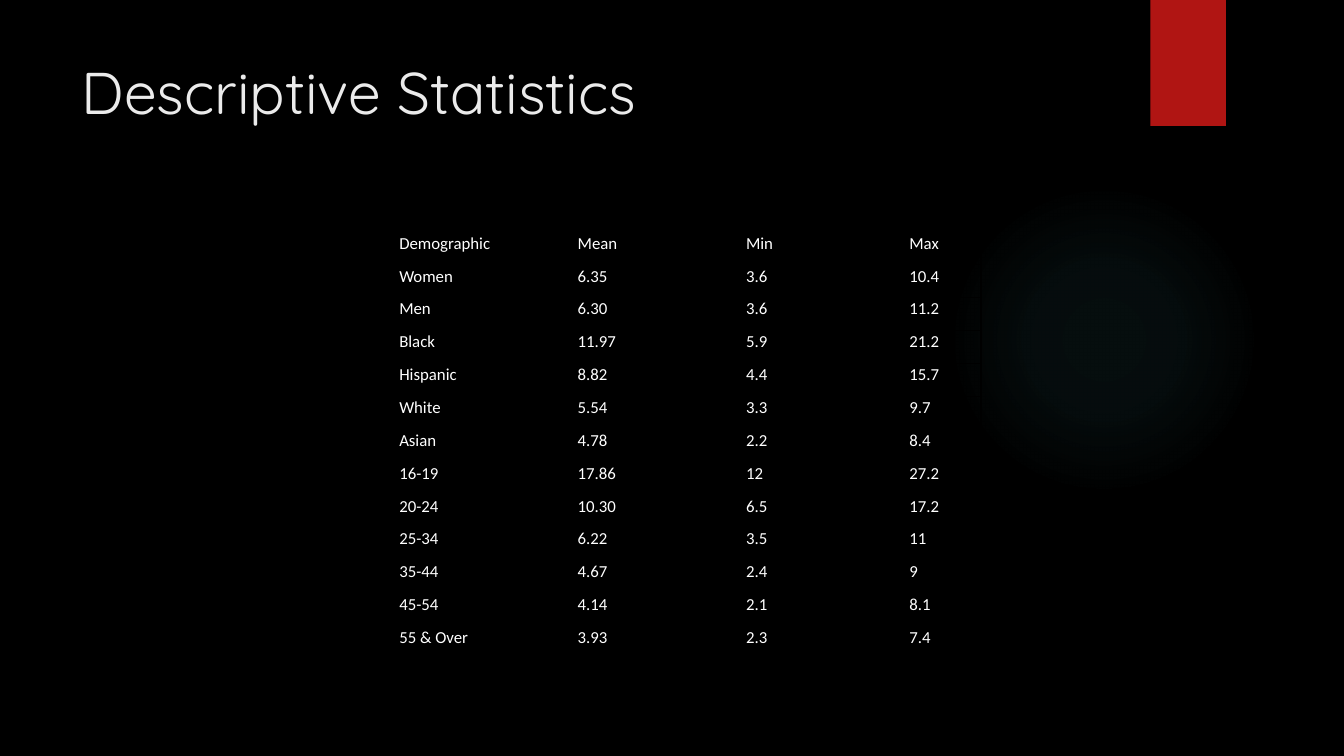
from pptx import Presentation
from pptx import util as u
from pptx.dml.color import RGBColor
from pptx.enum import shapes, text
from pptx.oxml import parse_xml
from pptx.oxml.ns import nsdecls, qn

ROWS = [
    ("Demographic", "Mean", "Min", "Max"),
    ("Women", "6.35", "3.6", "10.4"),
    ("Men", "6.30", "3.6", "11.2"),
    ("Black", "11.97", "5.9", "21.2"),
    ("Hispanic", "8.82", "4.4", "15.7"),
    ("White", "5.54", "3.3", "9.7"),
    ("Asian", "4.78", "2.2", "8.4"),
    ("16-19", "17.86", "12", "27.2"),
    ("20-24", "10.30", "6.5", "17.2"),
    ("25-34", "6.22", "3.5", "11"),
    ("35-44", "4.67", "2.4", "9"),
    ("45-54", "4.14", "2.1", "8.1"),
    ("55 & Over", "3.93", "2.3", "7.4"),
]


def color(value):
    return RGBColor.from_string(value)


class Deck:
    """Holds the slide and its style, and draws each kind of element."""

    background = "000000"
    accent = "B01513"
    glow_color = "50B9C1"
    title_color = "EBEBEB"
    body_color = "FFFFFF"
    title_font = "Quicksand"
    body_font = "Calibri"

    def __init__(self, prs):
        self.s = prs.slides.add_slide(prs.slide_layouts[6])
        fill = self.s.background.fill
        fill.solid()
        fill.fore_color.rgb = color(self.background)

    def shape(self, kind, *box):
        sp = self.s.shapes.add_shape(kind, *map(u.Inches, box))
        sp.shadow.inherit = False
        sp.line.fill.background()
        return sp

    def bar(self, *box):
        sp = self.shape(shapes.MSO_SHAPE.RECTANGLE, *box)
        sp.fill.solid()
        sp.fill.fore_color.rgb = color(self.accent)

    def glow(self, stops, *box):
        sp = self.shape(shapes.MSO_SHAPE.OVAL, *box)
        sp.fill.background()
        gs = "".join(
            f'<a:gs pos="{pos * 1000}"><a:srgbClr val="{self.glow_color}">'
            f'<a:alpha val="{alpha * 1000}"/></a:srgbClr></a:gs>'
            for pos, alpha in stops
        )
        spPr = sp._element.spPr
        spPr.replace(spPr.find(qn("a:noFill")), parse_xml(
            f'<a:gradFill {nsdecls("a")}><a:gsLst>{gs}</a:gsLst><a:path path="circle">'
            '<a:fillToRect l="50000" t="50000" r="50000" b="50000"/></a:path></a:gradFill>'
        ))

    def format_run(self, p, size, font, rgb):
        r = p.runs[0]
        r.font.size = u.Pt(size)
        r.font.name = font
        r.font.color.rgb = color(rgb)

    def title(self, wording, *box):
        tf = self.s.shapes.add_textbox(*map(u.Inches, box)).text_frame
        tf.word_wrap = True
        tf.vertical_anchor = text.MSO_ANCHOR.TOP
        tf.text = wording
        self.format_run(tf.paragraphs[0], 42, self.title_font, self.title_color)

    def cell(self, cell, wording):
        cell.margin_left = cell.margin_right = u.Inches(0.07)
        cell.margin_top = cell.margin_bottom = 0
        cell.text = wording
        p = cell.text_frame.paragraphs[0]
        p.line_spacing = 1.07
        p._p.get_or_add_pPr().set("marL", str(u.Inches(0.25)))
        self.format_run(p, 12, self.body_font, self.body_color)
        cell.fill.background()
        tcPr = cell._tc.get_or_add_tcPr()
        for i, side in enumerate(("lnL", "lnR", "lnT", "lnB")):
            tcPr.insert(i, parse_xml(
                f'<a:{side} {nsdecls("a")} w="{u.Pt(1)}"><a:solidFill>'
                f'<a:srgbClr val="{self.background}"/></a:solidFill></a:{side}>'
            ))

    def table(self, rows, widths, left, top, height):
        box = map(u.Inches, (left, top, sum(widths), height))
        table = self.s.shapes.add_table(len(rows), len(widths), *box).table
        table.first_row = table.horz_banding = False
        for column, width in zip(table.columns, widths):
            column.width = u.Inches(width)
        for row, values in zip(table.rows, rows):
            for cell, value in zip(row.cells, values):
                self.cell(cell, value)


def main():
    prs = Presentation()
    prs.slide_width, prs.slide_height = u.Inches(13.33), u.Inches(7.5)
    deck = Deck(prs)
    deck.glow([(0, 7), (36, 6), (69, 0)], 9.41, 1.83, 3.08, 3.08)
    deck.bar(11.41, 0, 0.75, 1.25)
    deck.title("Descriptive Statistics", 0.71, 0.5, 10.29, 1.53)
    deck.table(ROWS, (1.77, 1.67, 1.62, 1.03), 3.64, 2.3, 4.24)
    prs.save("out.pptx")


if __name__ == "__main__":
    main()
